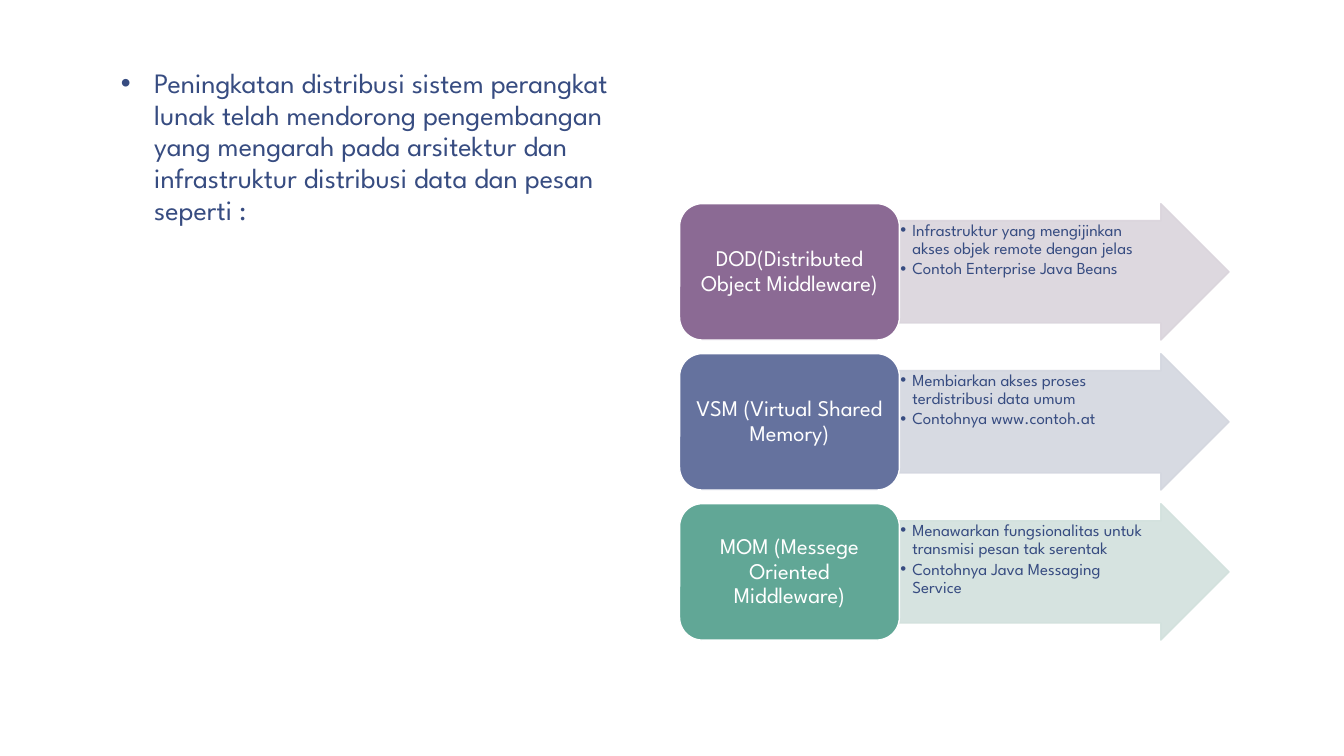
from lxml import etree
from pptx import Presentation
from pptx.dml.color import RGBColor
from pptx.enum.shapes import MSO_SHAPE as Preset
from pptx.enum.text import MSO_ANCHOR as Anchor, PP_ALIGN as Align
from pptx.oxml.ns import qn
from pptx.util import Inches, Pt

FONT = "League Spartan"
COLORS = {
    "text": "374C81", "white": "FFFFFF",
    "purple": "8B6A94", "pale purple": "DAD4DC",
    "blue": "65729E", "pale blue": "D3D6DF",
    "green": "61A796", "pale green": "D2E1DD",
}
INTRO = ("Peningkatan distribusi sistem perangkat lunak telah mendorong pengembangan "
         "yang mengarah pada arsitektur dan infrastruktur distribusi data dan pesan seperti :")
MIDDLEWARE = [
    ("DOD(Distributed Object Middleware)", "purple",
     ["Infrastruktur yang mengijinkan akses objek remote dengan jelas",
      "Contoh Enterprise Java Beans"]),
    ("VSM (Virtual Shared Memory)", "blue",
     ["Membiarkan akses proses terdistribusi data umum",
      "Contohnya www.contoh.at"]),
    ("MOM (Messege Oriented Middleware)", "green",
     ["Menawarkan fungsionalitas untuk transmisi pesan tak serentak",
      "Contohnya Java Messaging Service"]),
]


def rgb(name):
    return RGBColor.from_string(COLORS[name])


def set_frame(frame, insets, anchor=Anchor.TOP):
    frame.word_wrap = True
    frame.vertical_anchor = anchor
    (frame.margin_left, frame.margin_top,
     frame.margin_right, frame.margin_bottom) = map(Inches, insets)


def write(frame, lines, size, color, spacing, after=0, indent=0, align=Align.LEFT):
    """Fill a frame with one paragraph per line, bulleted when indented."""
    for number, line in enumerate(lines):
        paragraph = frame.add_paragraph() if number else frame.paragraphs[0]
        paragraph.text = line
        paragraph.alignment = align
        paragraph.line_spacing = spacing
        paragraph.space_after = Pt(after)
        if indent:
            properties = paragraph._p.get_or_add_pPr()
            properties.set("marL", str(Inches(indent)))
            properties.set("indent", str(-Inches(indent)))
            etree.SubElement(properties, qn("a:buFont"), typeface="Arial")
            etree.SubElement(properties, qn("a:buChar"), char="•")
        font = paragraph.font
        font.name, font.size = FONT, Pt(size)
        font.color.rgb = rgb(color)


def add_panel(slide, preset, box, fill, line, alpha=None):
    panel = slide.shapes.add_shape(preset, *map(Inches, box))
    panel.shadow.inherit = False
    panel.fill.solid()
    panel.fill.fore_color.rgb = rgb(fill)
    panel.line.color.rgb = rgb(line)
    panel.line.width = Pt(1)
    if alpha:
        for tint in panel._element.spPr.iter(qn("a:srgbClr")):
            etree.SubElement(tint, qn("a:alpha"), val=str(alpha * 1000))
    return panel


def add_intro(slide, left, top, width, height):
    intro = slide.shapes.add_textbox(*map(Inches, (left, top, width, height)))
    set_frame(intro.text_frame, (0.13, 0.07, 0.13, 0.07))
    write(intro.text_frame, [INTRO], 20, "text", 0.95, indent=0.33)


def add_middleware_row(slide, left, top, width, height, title, hue, details):
    title_width = width * 0.4

    # Arrow with the details
    arrow = add_panel(slide, Preset.RIGHT_ARROW,
                      (left + title_width, top, width - title_width, height),
                      f"pale {hue}", f"pale {hue}", alpha=90)
    arrow.adjustments[0], arrow.adjustments[1] = 0.75, 0.5
    set_frame(arrow.text_frame, (0.01, 0.01, 0.35, 0.01))
    write(arrow.text_frame, details, 12, "text", 0.9, after=1.8, indent=0.12)

    # Rounded title block
    block = add_panel(slide, Preset.ROUNDED_RECTANGLE,
                      (left, top, title_width, height), hue, "white")
    set_frame(block.text_frame, (0.07, 0.03, 0.07, 0.03), Anchor.MIDDLE)
    write(block.text_frame, [title], 16, "white", 0.9, align=Align.CENTER)


def add_middleware_list(slide, left, top, width, height):
    # Row gaps are a tenth of the row height
    row_height = height / (len(MIDDLEWARE) * 1.1 - 0.1)
    for row, (title, hue, details) in enumerate(MIDDLEWARE):
        add_middleware_row(slide, left, top + row * row_height * 1.1,
                           width, row_height, title, hue, details)


def main():
    deck = Presentation()
    deck.slide_width, deck.slide_height = Inches(13.33), Inches(7.5)
    slide = deck.slides.add_slide(deck.slide_layouts[6])
    add_intro(slide, 1.07, 0.6, 5.44, 4.33)
    add_middleware_list(slide, 6.74, 2.02, 5.45, 4.33)
    deck.save("out.pptx")


if __name__ == "__main__":
    main()
